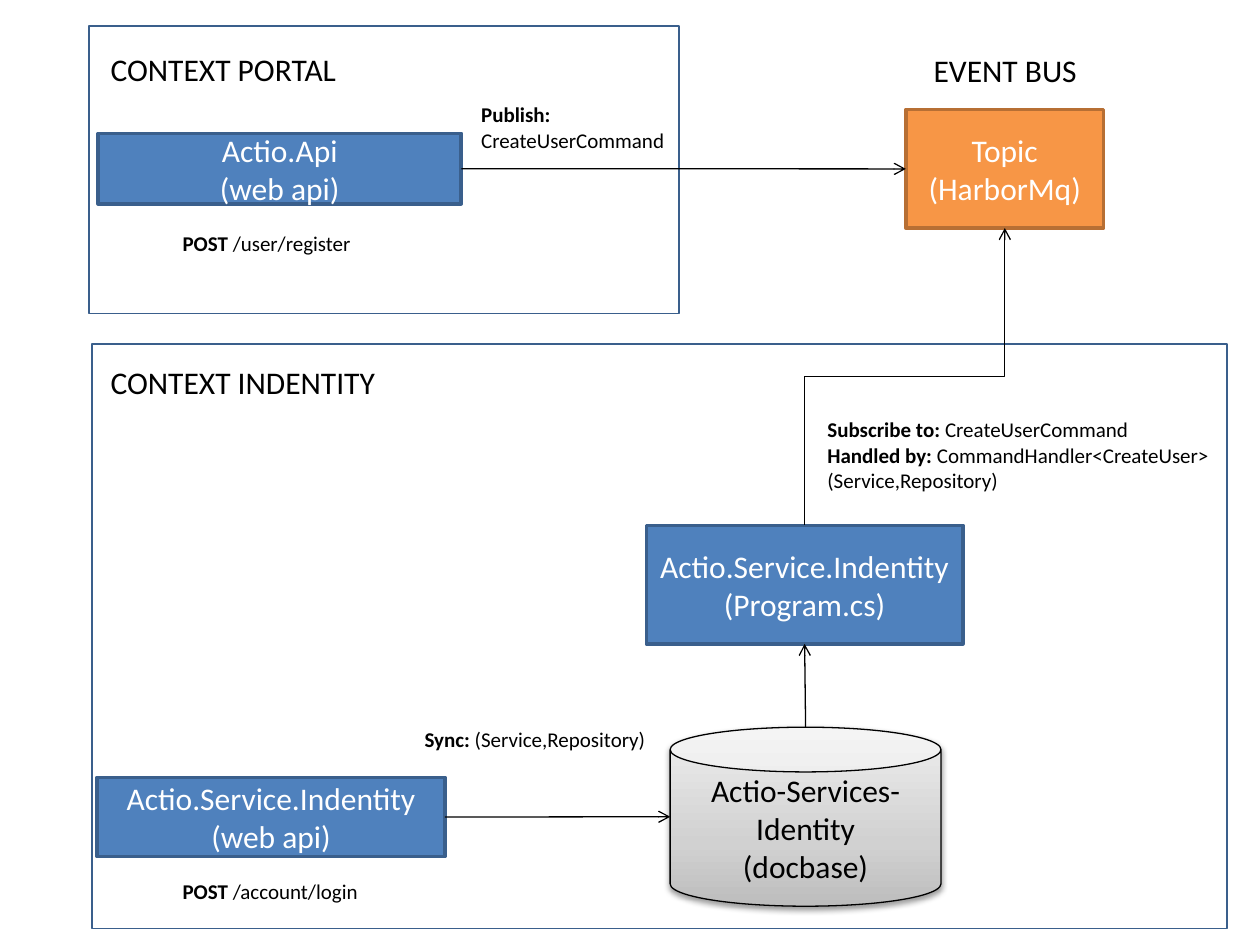
"""Build the user registration and login flow across two contexts and an event bus."""
from copy import deepcopy

from lxml.etree import SubElement
from pptx import Presentation
from pptx.dml.color import RGBColor
from pptx.enum.shapes import MSO_CONNECTOR as Connector, MSO_SHAPE as Shape
from pptx.enum.text import MSO_ANCHOR as Anchor, MSO_AUTO_SIZE as AutoSize, PP_ALIGN as Align
from pptx.oxml.ns import qn
from pptx.util import Cm, Pt

COLORS = {
    "blue": "4F81BD", "blue_line": "3A5F8C", "orange": "F79646", "orange_line": "B76F34",
    "black": "000000", "white": "FFFFFF",
}
STORE_STOPS = [(0, "BDBDBD"), (0.35, "D1D1D1"), (1, "EEEEEE")]
FONT = "Calibri"
TOP, LEFT, BOTTOM, RIGHT = range(4)

CONTEXTS = [(1.85, 6.93, 22.89, 11.79), (1.8, 0.53, 11.89, 5.79)]
BOXES = {
    "api": ("Actio.Api\n(web api)", (1.98, 2.69, 7.32, 1.42), "blue"),
    "topic": ("Topic\n(HarborMq)", (18.26, 2.21, 3.99, 2.39), "orange"),
    "program": ("Actio.Service.Indentity\n(Program.cs)", (13.03, 10.59, 6.38, 2.39), "blue"),
    "login": ("Actio.Service.Indentity\n(web api)", (1.96, 15.67, 7.01, 1.6), "blue"),
}
STORE = ("Actio-Services-Identity\n(docbase)", (13.51, 14.66, 5.46, 3.61))
HEADINGS = [
    ("CONTEXT INDENTITY", (1.98, 7.19, 5.89, 1.02)),
    ("CONTEXT PORTAL", (1.98, 0.89, 5.11, 1.02)),
    ("EVENT BUS", (18.57, 0.91, 3.43, 1.02)),
]
NOTES = [
    ([("Publish:\n", True), ("CreateUserCommand", False)], (9.45, 1.93, 4.24, 1.27)),
    ([("Sync: ", True), ("(Service,Repository)", False)], (8.31, 14.53, 4.98, 0.76)),
    ([("POST ", True), ("/user/register", False)], (3.43, 4.52, 3.91, 0.76)),
    ([("POST ", True), ("/account/login", False)], (3.43, 17.58, 4.09, 0.76)),
    ([("Subscribe to: ", True), ("CreateUserCommand\n", False), ("Handled by: ", True),
      ("CommandHandler<CreateUser>\n(Service,Repository)", False)], (16.43, 8.28, 8.28, 1.8)),
]


def rgb(name):
    return RGBColor.from_string(COLORS[name])


def write(shape, pieces, size, color):
    paragraph = shape.text_frame.paragraphs[0]
    for text, bold in pieces:
        for index, line in enumerate(text.split("\n")):
            if index:
                paragraph.add_line_break()
            if line:
                run = paragraph.add_run()
                run.text = line
                run.font.name, run.font.size, run.font.bold = FONT, Pt(size), bold
                run.font.color.rgb = rgb(color)
    return paragraph


def add_block(kind, frame, line, width):
    shape = slide.shapes.add_shape(kind, *map(Cm, frame))
    shape.shadow.inherit = False
    shape.fill.background()
    shape.line.color.rgb = rgb(line)
    shape.line.width = Pt(width)
    return shape


def add_label(shape, text, color):
    shape.text_frame.vertical_anchor = Anchor.MIDDLE
    write(shape, [(text, False)], 18, color).alignment = Align.CENTER


def add_text(pieces, frame, size):
    box = slide.shapes.add_textbox(*map(Cm, frame))
    box.text_frame.word_wrap = False
    box.text_frame.auto_size = AutoSize.SHAPE_TO_FIT_TEXT
    write(box, pieces, size, "black")


def add_arrow(kind, begin, end):
    arrow = slide.shapes.add_connector(kind, *begin, *end)
    arrow.line.color.rgb = rgb("black")
    arrow.line.width = Pt(0.75)
    SubElement(arrow.line._get_or_add_ln(), qn("a:tailEnd"), type="arrow")
    SubElement(arrow._element.spPr, qn("a:effectLst"))
    return arrow


def side(shape, site):
    center, middle = shape.left + shape.width // 2, shape.top + shape.height // 2
    return {
        TOP: (center, shape.top), LEFT: (shape.left, middle),
        BOTTOM: (center, shape.top + shape.height), RIGHT: (shape.left + shape.width, middle),
    }[site]


def turn_upright(arrow):
    """Rotate an elbow so that it leaves and arrives vertically."""
    width, height = arrow.width, arrow.height
    center, middle = arrow.left + width // 2, arrow.top + height // 2
    arrow.left, arrow.top = center - height // 2, middle - width // 2
    arrow.width, arrow.height = height, width
    transform = arrow._element.spPr.find(qn("a:xfrm"))
    for key, value in (("rot", "5400000"), ("flipH", "1"), ("flipV", "1")):
        transform.set(key, value)


def style_store(shape):
    shape.fill.gradient()
    shape.fill.gradient_angle = 90
    stops = shape._element.spPr.find(qn("a:gradFill")).find(qn("a:gsLst"))
    stops.insert(1, deepcopy(stops[0]))
    for stop, (position, color) in zip(shape.fill.gradient_stops, STORE_STOPS):
        stop.position = position
        stop.color.rgb = RGBColor.from_string(color)
    effects = shape._element.spPr.find(qn("a:effectLst"))
    shadow = SubElement(effects, qn("a:outerShdw"), blurRad="40000", dist="20000",
                        dir="5400000", rotWithShape="0")
    color = SubElement(shadow, qn("a:srgbClr"), val=COLORS["black"])
    SubElement(color, qn("a:alpha"), val="38000")


presentation = Presentation()
presentation.slide_width, presentation.slide_height = Cm(25.4), Cm(19.05)
slide = presentation.slides.add_slide(presentation.slide_layouts[6])

for frame in CONTEXTS:
    add_block(Shape.RECTANGLE, frame, "blue_line", 1)

blocks = {}
for name, (text, frame, color) in BOXES.items():
    box = blocks[name] = add_block(Shape.RECTANGLE, frame, color + "_line", 2)
    box.fill.solid()
    box.fill.fore_color.rgb = rgb(color)
    add_label(box, text, "white")

text, frame = STORE
store = blocks["store"] = add_block(Shape.CAN, frame, "black", 0.75)
style_store(store)
add_label(store, text, "black")

for start, start_site, target, target_site in [
    ("api", RIGHT, "topic", LEFT),
    ("store", TOP, "program", BOTTOM),
    ("login", RIGHT, "store", LEFT),
]:
    add_arrow(Connector.STRAIGHT, side(blocks[start], start_site), side(blocks[target], target_site))

subscription = add_arrow(Connector.ELBOW, side(blocks["program"], TOP), side(blocks["topic"], BOTTOM))
turn_upright(subscription)

for text, frame in HEADINGS:
    add_text([(text, False)], frame, 18)
for pieces, frame in NOTES:
    add_text(pieces, frame, 12)

presentation.save("out.pptx")
